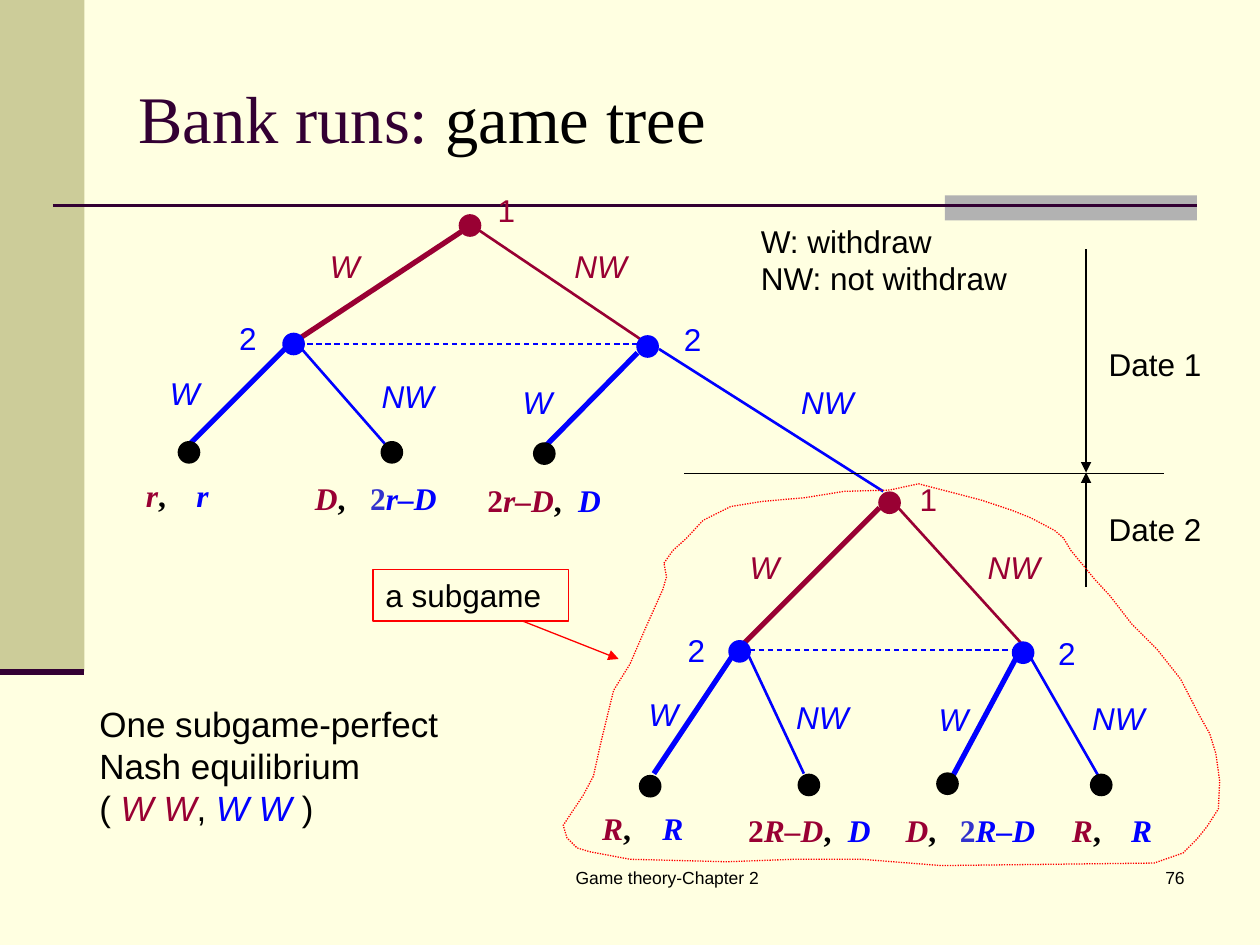
from lxml.etree import SubElement
from pptx import Presentation
from pptx.dml.color import RGBColor
from pptx.enum.dml import MSO_LINE
from pptx.enum.shapes import MSO_CONNECTOR, MSO_SHAPE
from pptx.enum.text import MSO_ANCHOR, PP_ALIGN
from pptx.oxml.ns import qn
from pptx.util import Inches, Pt

BLACK, RED, BLUE = "000000", "990033", "0000FF"
PLUM, INDIGO, SIGNAL = "330033", "3333CC", "FF0000"
NODE_SIZE = 0.18

# Node centres by owner colour
NODES = {
    RED: [(3.73, 1.79), (7.06, 3.99)],
    BLUE: [(2.33, 2.73), (5.14, 2.75), (5.87, 5.17), (8.12, 5.18)],
    BLACK: [(1.5, 3.59), (3.11, 3.59), (4.32, 3.6), (5.16, 6.24),
            (6.42, 6.23), (7.52, 6.22), (8.74, 6.23)],
}

# Branches: start, end, colour, whether it is the chosen move
BRANCHES = [
    ((3.66, 1.84), (2.31, 2.73), RED, True),
    ((3.79, 1.82), (5.11, 2.71), RED, False),
    ((2.26, 2.77), (1.49, 3.54), BLUE, True),
    ((2.36, 2.73), (3.07, 3.54), BLUE, False),
    ((5.06, 2.8), (4.29, 3.58), BLUE, True),
    ((5.23, 2.77), (7.01, 3.9), BLUE, False),
    ((6.98, 4.03), (5.9, 5.11), RED, True),
    ((7.12, 4.02), (8.11, 5.11), RED, False),
    ((5.81, 5.21), (5.19, 6.14), BLUE, True),
    ((5.94, 5.2), (6.38, 6.14), BLUE, False),
    ((8.06, 5.23), (7.54, 6.2), BLUE, True),
    ((8.18, 5.22), (8.73, 6.18), BLUE, False),
]

# Label positions (left, top) by text and colour
PLAYERS = {
    ("1", RED): [(3.85, 1.47), (7.2, 3.76)],
    ("2", BLUE): [(1.8, 2.48), (5.33, 2.49), (5.36, 4.96), (8.3, 4.98)],
}
MOVES = {
    ("W", RED): [(2.52, 1.91), (5.85, 4.3)],
    ("NW", RED): [(4.46, 1.91), (7.74, 4.3)],
    ("W", BLUE): [(1.25, 2.92), (4.05, 2.99), (5.05, 5.47), (7.35, 5.51)],
    ("NW", BLUE): [(2.93, 2.94), (6.26, 2.99), (6.22, 5.49), (8.57, 5.5)],
}

# Payoffs: left, top, tab stop, payoff of player 1, payoff of player 2
PAYOFFS = [
    (1.06, 3.73, 0.4, "r", "r"),
    (2.4, 3.75, 0.44, "D", "2r–D"),
    (3.77, 3.77, 0.72, "2r–D", "D"),
    (4.68, 6.37, 0.48, "R", "R"),
    (5.84, 6.39, 0.79, "2R–D", "D"),
    (7.09, 6.39, 0.43, "D", "2R–D"),
    (8.41, 6.39, 0.47, "R", "R"),
]

SUBGAME_OUTLINE = [
    (5.27, 4.47), (5.34, 4.37), (5.45, 4.27), (5.58, 4.13), (5.8, 4.02),
    (6.05, 3.98), (6.39, 3.95), (6.7, 3.9), (7.06, 3.89), (7.29, 3.84),
    (7.6, 3.92), (7.79, 3.97), (8.03, 4.05), (8.18, 4.11), (8.37, 4.21),
    (8.44, 4.27), (8.5, 4.37), (8.69, 4.6), (8.81, 4.73), (8.98, 4.95),
    (9.18, 5.15), (9.37, 5.39), (9.52, 5.68), (9.6, 5.82), (9.65, 5.98),
    (9.68, 6.2), (9.67, 6.42), (9.58, 6.56), (9.5, 6.66), (9.39, 6.77),
    (9.16, 6.85), (7.47, 6.87), (6.84, 6.82), (6.3, 6.82), (5.77, 6.84),
    (5, 6.82), (4.68, 6.76), (4.58, 6.73), (4.5, 6.65), (4.47, 6.55),
    (4.63, 6.31), (4.71, 6.16), (4.77, 5.89), (4.87, 5.48), (5, 5.27),
    (5.13, 4.97), (5.26, 4.68), (5.29, 4.58),
]


def rgb(color):
    return RGBColor.from_string(color)


def add_block(page, kind, left, top, width, height, color):
    shape = page.shapes.add_shape(
        kind, Inches(left), Inches(top), Inches(width), Inches(height))
    shape.shadow.inherit = False
    shape.fill.solid()
    shape.fill.fore_color.rgb = rgb(color)
    shape.line.fill.background()


def add_node(page, center, color):
    x, y = center
    add_block(page, MSO_SHAPE.OVAL, x - NODE_SIZE / 2, y - NODE_SIZE / 2,
              NODE_SIZE, NODE_SIZE, color)


def add_line(page, start, end, color, weight=0.75, dash=None, arrow=False):
    line = page.shapes.add_connector(
        MSO_CONNECTOR.STRAIGHT, *(Inches(value) for value in (*start, *end)))
    line.line.color.rgb = rgb(color)
    line.line.width = Pt(weight)
    if dash:
        line.line.dash_style = dash
    properties = line._element.spPr
    if arrow:
        SubElement(properties.find(qn("a:ln")), qn("a:tailEnd"), type="triangle")
    SubElement(properties, qn("a:effectLst"))


def add_text(page, left, top, width, height, spans, size=18, font="Arial",
             bold=False, align=PP_ALIGN.LEFT, anchor=MSO_ANCHOR.TOP, tab=None):
    """Spans are (text, colour, italic) triples in one paragraph."""
    box = page.shapes.add_textbox(
        Inches(left), Inches(top), Inches(width), Inches(height))
    frame = box.text_frame
    frame.word_wrap = True
    frame.vertical_anchor = anchor
    para = frame.paragraphs[0]
    para.alignment = align
    if tab:
        tabs = SubElement(para._p.get_or_add_pPr(), qn("a:tabLst"))
        SubElement(tabs, qn("a:tab"), pos=str(Inches(tab)), algn="l")
    para.font.name, para.font.size, para.font.bold = font, Pt(size), bold
    for text, color, italic in spans:
        for index, part in enumerate(text.split("\n")):
            if index:
                para.add_line_break()
            span = para.add_run()
            span.text = part
            span.font.color.rgb = rgb(color)
            span.font.italic = italic
    return box


def add_payoff(page, left, top, tab, first, second):
    def payoff_spans(text, number_color, letter_color):
        letters = text.lstrip("2")
        number = [("2", number_color, False)] if letters != text else []
        return number + [(letters, letter_color, True)]

    spans = (payoff_spans(first, RED, RED) + [(",\t", BLACK, False)]
             + payoff_spans(second, INDIGO, BLUE))
    add_text(page, left, top, 1.4, 0.4, spans, font="Times New Roman",
             bold=True, tab=tab)


def add_outline(page, points, color):
    start, *rest = [(Inches(x), Inches(y)) for x, y in points]
    builder = page.shapes.build_freeform(*start)
    builder.add_line_segments(rest, close=True)
    shape = builder.convert_to_shape()
    shape.shadow.inherit = False
    shape.fill.background()
    shape.line.color.rgb = rgb(color)
    shape.line.width = Pt(0.75)
    shape.line.dash_style = MSO_LINE.ROUND_DOT


def add_frame(page):
    # Side band, title rule and footer
    add_block(page, MSO_SHAPE.RECTANGLE, 0, 0, 0.67, 5.33, "CCCC99")
    add_block(page, MSO_SHAPE.RECTANGLE, 7.5, 1.55, 2, 0.2, "B2B2B2")
    add_line(page, (0.42, 1.63), (9.5, 1.63), PLUM, 1.5)
    add_line(page, (0, 5.33), (0.67, 5.33), PLUM, 3.5)
    add_text(page, 3.67, 6.83, 3.25, 0.5, [("Game theory-Chapter 2", BLACK, False)],
             size=10, align=PP_ALIGN.CENTER)
    add_text(page, 7.42, 6.83, 2.08, 0.5, [("76", BLACK, False)],
             size=10, align=PP_ALIGN.RIGHT)
    add_text(page, 1, 0.3, 8.5, 1.25,
             [("Bank runs: ", PLUM, False), ("game tree", BLACK, False)],
             size=38, font="Times New Roman", anchor=MSO_ANCHOR.MIDDLE)


def add_tree(page):
    for start, end, color, chosen in BRANCHES:
        add_line(page, start, end, color, 3 if chosen else 1.5)
    # Information sets
    for left, right, y in [(2.44, 5.07, 2.73), (5.95, 8.06, 5.16)]:
        add_line(page, (left, y), (right, y), BLUE, dash=MSO_LINE.DASH)
    for color, centers in NODES.items():
        for center in centers:
            add_node(page, center, color)
    for labels, italic in [(PLAYERS, False), (MOVES, True)]:
        for (text, color), places in labels.items():
            for left, top in places:
                add_text(page, left, top, 0.3 + 0.22 * len(text), 0.4,
                         [(text, color, italic)])
    for payoff in PAYOFFS:
        add_payoff(page, *payoff)


def add_notes_on_tree(page):
    # Dates and legend
    add_line(page, (5.43, 3.76), (9.24, 3.76), BLACK)
    for y, label, top in [(1.98, "Date 1", 2.69), (4.66, "Date 2", 4)]:
        add_line(page, (8.62, y), (8.62, 3.75), BLACK, arrow=True)
        add_text(page, 8.7, top, 1, 0.4, [(label, BLACK, False)])
    add_text(page, 5.94, 1.71, 2.44, 0.7,
             [("W: withdraw\nNW: not withdraw", BLACK, False)])
    # Subgame and equilibrium
    add_outline(page, SUBGAME_OUTLINE, SIGNAL)
    box = add_text(page, 2.96, 4.52, 1.55, 0.41, [("a subgame", BLACK, False)])
    box.line.color.rgb = rgb(SIGNAL)
    box.line.width = Pt(0.75)
    add_line(page, (4.15, 4.93), (4.91, 5.23), SIGNAL, arrow=True)
    add_text(page, 0.69, 5.53, 3.06, 1.1,
             [("One subgame-perfect Nash equilibrium\n( ", BLACK, False),
              ("W W", RED, True), (", ", BLACK, False),
              ("W W", BLUE, True), (" )", BLACK, False)], size=20)


def main():
    deck = Presentation()
    deck.slide_width, deck.slide_height = Inches(10), Inches(7.5)
    page = deck.slides.add_slide(deck.slide_layouts[6])
    page.background.fill.solid()
    page.background.fill.fore_color.rgb = rgb("FFFFE1")
    add_frame(page)
    add_tree(page)
    add_notes_on_tree(page)
    deck.save("out.pptx")


if __name__ == "__main__":
    main()
